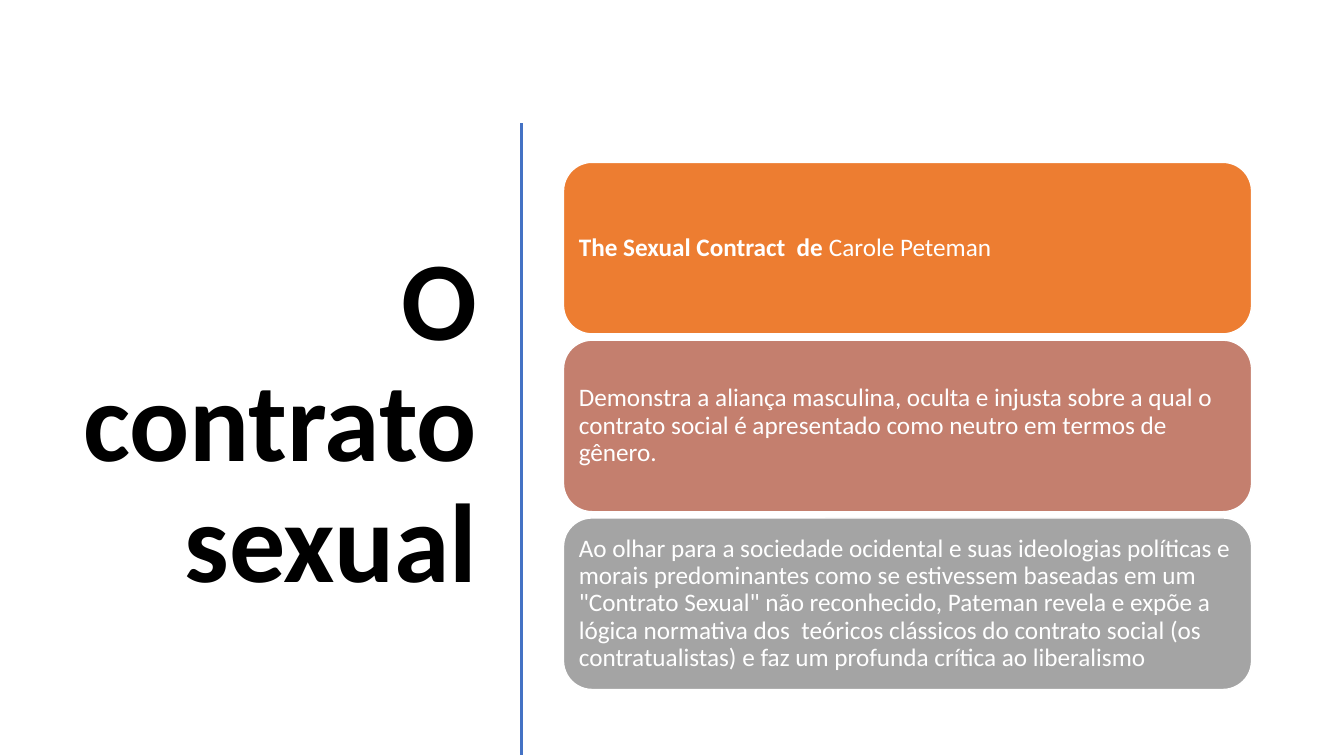
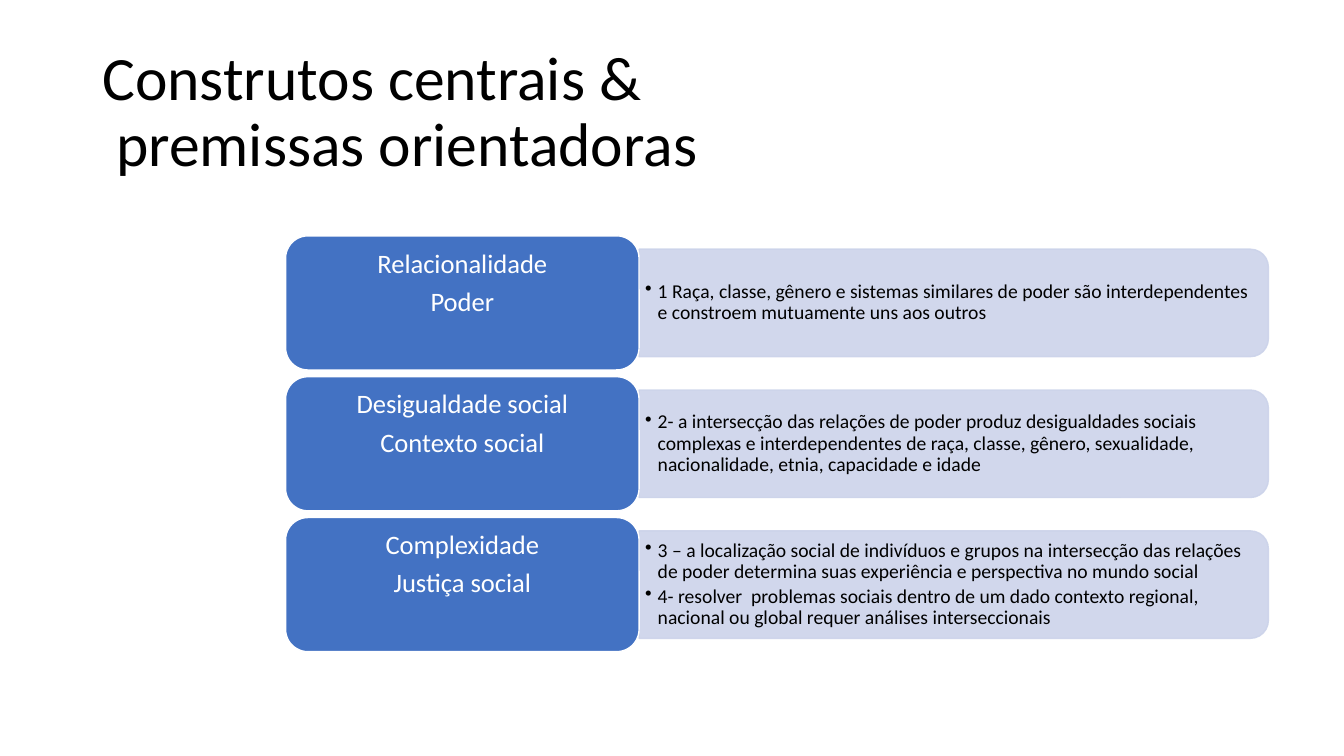
from lxml import etree
from pptx import Presentation
from pptx.dml.color import RGBColor
from pptx.enum.shapes import MSO_CONNECTOR as Connector, MSO_SHAPE as Shape
from pptx.enum.text import MSO_ANCHOR as Anchor, PP_ALIGN as Align
from pptx.oxml.ns import qn
from pptx.util import Pt

FONT = "Calibri"
COLOURS = {
    "black": "000000", "white": "FFFFFF", "rule": "4472C4",
    "orange": "ED7D31", "rose": "C47F6E", "grey": "A4A4A4",
    "label": "4372C3", "bar": "CCD3EA",
}
CORNER = 0.167

# A paragraph is a list of (text, bold) runs.
BOOK_TITLE = [[("O contrato sexual", True)]]
CARDS = [
    ("orange", [("The Sexual Contract  de", True), (" Carole Peteman", False)]),
    ("rose", [("Demonstra a aliança masculina, oculta e injusta sobre a qual o contrato "
               "social é apresentado como neutro em termos de gênero.", False)]),
    ("grey", [("Ao olhar para a sociedade ocidental e suas ideologias políticas e morais "
               "predominantes como se estivessem baseadas em um \"Contrato Sexual\" não "
               "reconhecido, Pateman revela e expõe a lógica normativa dos  teóricos "
               "clássicos do contrato social (os contratualistas) e faz um profunda "
               "crítica ao liberalismo", False)]),
]
PREMISES_TITLE = [[("Construtos centrais &\n premissas orientadoras", False)]]
PREMISES = [
    (["Relacionalidade", "Poder"],
     ["1 Raça, classe, gênero e sistemas similares de poder são interdependentes "
      "e constroem mutuamente uns aos outros"]),
    (["Desigualdade social", "Contexto social"],
     ["2- a intersecção das relações de poder produz desigualdades sociais complexas e "
      "interdependentes de raça, classe, gênero, sexualidade, nacionalidade, etnia, "
      "capacidade e idade"]),
    (["Complexidade", "Justiça social"],
     ["3 – a localização social de indivíduos e grupos na intersecção das relações de "
      "poder determina suas experiência e perspectiva no mundo social",
      "4- resolver  problemas sociais dentro de um dado contexto regional, nacional ou "
      "global requer análises interseccionais"]),
]

# Insets run left, top, right, bottom.
TITLE_STYLE = {"size": 44, "colour": "black", "insets": (7.2, 3.6, 7.2, 3.6)}
BOOK_STYLE = TITLE_STYLE | {"size": 80, "align": Align.RIGHT}
CARD_STYLE = {"size": 18, "colour": "white", "insets": (5, 5, 5, 5)}
LABEL_STYLE = {"size": 19, "colour": "white", "insets": (5.8, 2.9, 5.8, 30.5),
               "align": Align.CENTER, "space": 6.7}
BAR_STYLE = {"size": 14, "colour": "black", "insets": (4.3, 2.2, 4.3, 2.2),
             "space": 2.1, "indent": 9}


def rgb(name):
    return RGBColor.from_string(COLOURS[name])


def plain(texts):
    """Turn strings into paragraphs of one regular run each."""
    return [[(text, False)] for text in texts]


def add_bullet(paragraph, indent):
    properties = paragraph._p.get_or_add_pPr()
    properties.set("marL", str(Pt(indent)))
    properties.set("indent", str(-Pt(indent)))
    etree.SubElement(properties, qn("a:buChar"), char="•")


def write(shape, paragraphs, style):
    frame = shape.text_frame
    frame.word_wrap = True
    frame.vertical_anchor = Anchor.MIDDLE
    for side, inset in zip(("left", "top", "right", "bottom"), style["insets"]):
        setattr(frame, f"margin_{side}", Pt(inset))
    for number, runs in enumerate(paragraphs):
        paragraph = frame.add_paragraph() if number else frame.paragraphs[0]
        if "indent" in style:
            add_bullet(paragraph, style["indent"])
        paragraph.alignment = style.get("align", Align.LEFT)
        paragraph.line_spacing = 0.9
        if number:
            paragraph.space_before = Pt(style["space"])
        for text, bold in runs:
            for line_number, line in enumerate(text.split("\n")):
                if line_number:
                    paragraph.add_line_break()
                run = paragraph.add_run()
                run.text = line
                font = {"name": FONT, "size": Pt(style["size"]), "bold": bold}
                for attribute, value in font.items():
                    setattr(run.font, attribute, value)
                run.font.color.rgb = rgb(style["colour"])


def add_text(slide, box, paragraphs, style):
    write(slide.shapes.add_textbox(*map(Pt, box)), paragraphs, style)


def add_panel(slide, kind, box, fill, line):
    shape = slide.shapes.add_shape(kind, *map(Pt, box))
    shape.shadow.inherit = False
    shape.adjustments[0] = CORNER
    shape.fill.solid()
    shape.fill.fore_color.rgb = rgb(fill)
    shape.line.color.rgb = rgb(line)
    shape.line.width = Pt(1)
    return shape


def add_bar(slide, left, middle, width, height):
    """Draw a translucent bar rounded on the right: a round-topped shape turned 90°."""
    box = (left + (width - height) / 2, middle - width / 2, height, width)
    bar = add_panel(slide, Shape.ROUND_2_SAME_RECTANGLE, box, "bar", "bar")
    bar.rotation = 90
    for colour in bar._element.spPr.iter(qn("a:srgbClr")):
        etree.SubElement(colour, qn("a:alpha"), val="90000")


def add_rule(slide, x, top, bottom):
    rule = slide.shapes.add_connector(Connector.STRAIGHT, Pt(x), Pt(top), Pt(x), Pt(bottom))
    rule.line.color.rgb = rgb("rule")
    rule.line.width = Pt(2)
    etree.SubElement(rule._element.spPr, qn("a:effectLst"))


def build_book(slide):
    add_text(slide, (37.5, 84, 310.5, 440), BOOK_TITLE, BOOK_STYLE)
    add_rule(slide, 372.5, 88, 539.5)
    left, top, width, height, gap = 402.5, 116, 491.5, 122.5, 4.5
    for row, (fill, runs) in enumerate(CARDS):
        box = (left, top + row * (height + gap), width, height)
        card = add_panel(slide, Shape.ROUNDED_RECTANGLE, box, fill, "white")
        write(card, [runs], CARD_STYLE)


def build_premises(slide):
    add_text(slide, (66, 28.75, 828, 104.4), PREMISES_TITLE, TITLE_STYLE)
    left, top, label_width, label_height, gap = 204, 168.5, 252.5, 95.8, 4.8
    bar_left, bar_width, bar_height = left + label_width, 449.5, 76.8
    text_width, text_height = 445.75, 69.3
    for row, (label, premises) in enumerate(PREMISES):
        label_top = top + row * (label_height + gap)
        middle = label_top + label_height / 2
        add_bar(slide, bar_left, middle, bar_width, bar_height)
        text_box = (bar_left, middle - text_height / 2, text_width, text_height)
        add_text(slide, text_box, plain(premises), BAR_STYLE)
        label_box = (left, label_top, label_width, label_height)
        panel = add_panel(slide, Shape.ROUNDED_RECTANGLE, label_box, "label", "white")
        write(panel, plain(label), LABEL_STYLE)


def main():
    presentation = Presentation()
    presentation.slide_width, presentation.slide_height = Pt(960), Pt(540)
    blank = presentation.slide_layouts[6]
    for build in (build_book, build_premises):
        build(presentation.slides.add_slide(blank))
    presentation.save("out.pptx")


if __name__ == "__main__":
    main()
